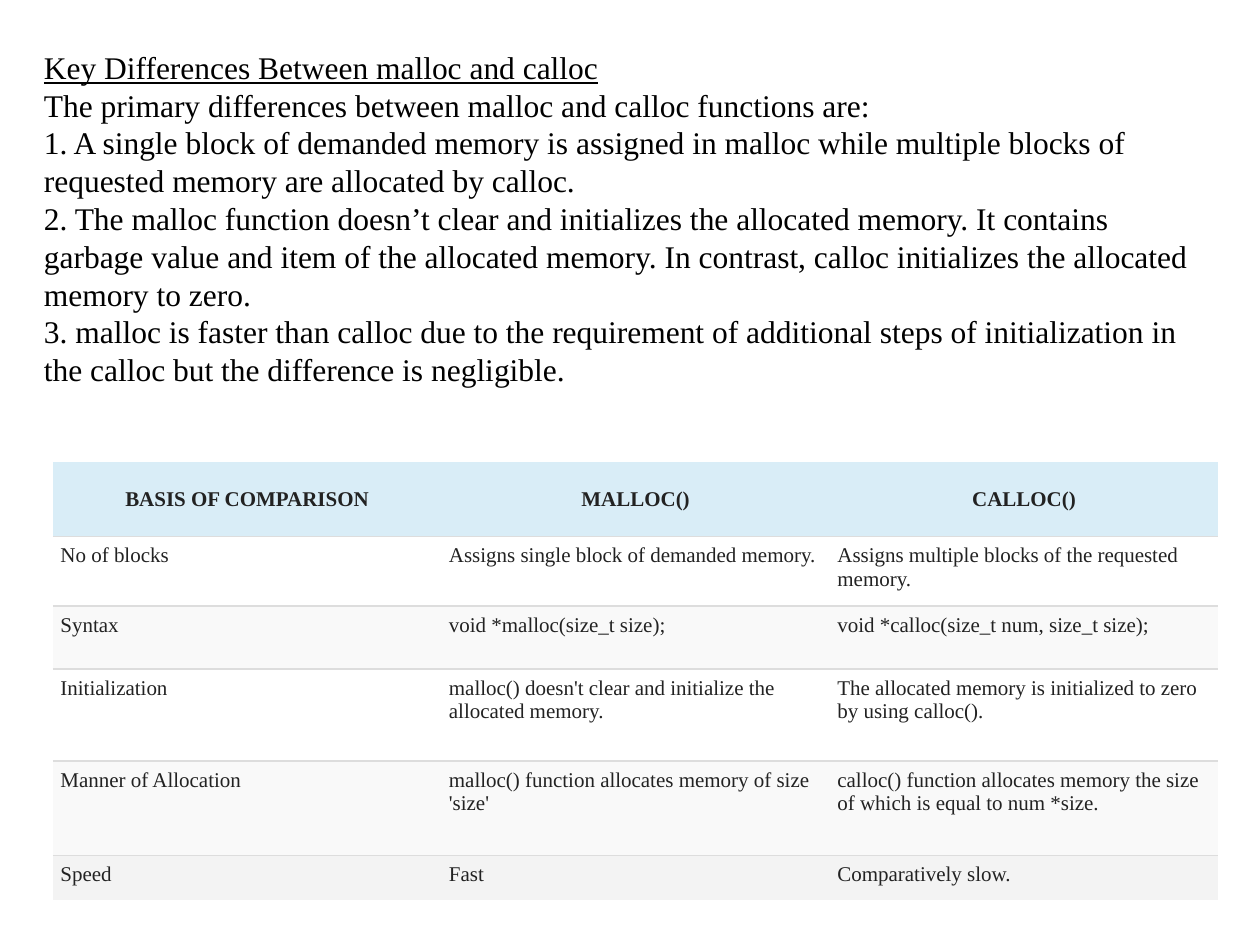
from lxml import etree
from pptx import Presentation
from pptx.dml.color import RGBColor
from pptx.enum.text import MSO_ANCHOR, PP_ALIGN
from pptx.oxml.ns import qn
from pptx.util import Inches, Pt

# Content
HEADING = "Key Differences Between malloc and calloc"
DIFFERENCES = [
    "The primary differences between malloc and calloc functions are:",
    "1. A single block of demanded memory is assigned in malloc while multiple "
    "blocks of requested memory are allocated by calloc.",
    "2. The malloc function doesn’t clear and initializes the allocated memory. "
    "It contains garbage value and item of the allocated memory. In contrast, "
    "calloc initializes the allocated memory to zero.",
    "3. malloc is faster than calloc due to the requirement of additional steps "
    "of initialization in the calloc but the difference is negligible.",
]
COMPARISON = [
    ("BASIS OF COMPARISON", "MALLOC()", "CALLOC()"),
    ("No of blocks", "Assigns single block of demanded memory.",
     "Assigns multiple blocks of the requested memory."),
    ("Syntax", "void *malloc(size_t size);", "void *calloc(size_t num, size_t size);"),
    ("Initialization", "malloc() doesn't clear and initialize the allocated memory.",
     "The allocated memory is initialized to zero by using calloc()."),
    ("Manner of Allocation", "malloc() function allocates memory of size 'size'",
     "calloc() function allocates memory the size of which is equal to num *size."),
    ("Speed", "Fast", "Comparatively slow."),
]
ROW_HEIGHTS = [0.59, 0.55, 0.5, 0.73, 0.75, 0.35]

# Style
FONT = "Times New Roman"
BLACK = RGBColor(0x00, 0x00, 0x00)
CELL_TEXT = RGBColor(0x22, 0x22, 0x22)
BORDER = RGBColor(0xDD, 0xDD, 0xDD)
HEADER_FILL = RGBColor(0xD9, 0xED, 0xF7)
WHITE = RGBColor(0xFF, 0xFF, 0xFF)
STRIPE = RGBColor(0xF9, 0xF9, 0xF9)
LAST_FILL = RGBColor(0xF3, 0xF3, 0xF3)
ROW_FILLS = [HEADER_FILL, WHITE, STRIPE, WHITE, STRIPE, LAST_FILL]
CELL_MARGIN = Inches(0.06)


def format_text(paragraph, size, color, bold=False, underline=False):
    for run in paragraph.runs:
        font = run.font
        font.name, font.size, font.bold = FONT, Pt(size), bold
        font.underline = underline
        font.color.rgb = color


def set_borders(cell, top, bottom):
    """Draw the wanted horizontal borders and clear the other sides."""
    properties = cell._tc.get_or_add_tcPr()
    sides = [("a:lnL", False), ("a:lnR", False), ("a:lnT", top), ("a:lnB", bottom)]
    for position, (tag, visible) in enumerate(sides):
        line = etree.Element(qn(tag), w=str(Pt(1)))
        if visible:
            fill = etree.SubElement(line, qn("a:solidFill"))
            etree.SubElement(fill, qn("a:srgbClr"), val=str(BORDER))
        else:
            etree.SubElement(line, qn("a:noFill"))
        properties.insert(position, line)


def add_differences(slide):
    box = slide.shapes.add_textbox(Inches(0.25), Inches(0.33), Inches(9.42), Inches(2.83))
    text_frame = box.text_frame
    text_frame.word_wrap = True
    text_frame.text = "\n".join([HEADING] + DIFFERENCES)
    for index, paragraph in enumerate(text_frame.paragraphs):
        format_text(paragraph, 18, BLACK, underline=index == 0)


def add_comparison(slide):
    last_row = len(COMPARISON) - 1
    table = slide.shapes.add_table(
        len(COMPARISON), len(COMPARISON[0]),
        Inches(0.42), Inches(3.67), Inches(9.25), Inches(sum(ROW_HEIGHTS))).table
    for row_index, texts in enumerate(COMPARISON):
        is_header = row_index == 0
        table.rows[row_index].height = Inches(ROW_HEIGHTS[row_index])
        for column_index, text in enumerate(texts):
            cell = table.cell(row_index, column_index)
            cell.text = text
            cell.margin_left = cell.margin_right = CELL_MARGIN
            cell.margin_top = cell.margin_bottom = CELL_MARGIN
            cell.vertical_anchor = MSO_ANCHOR.MIDDLE if is_header else MSO_ANCHOR.TOP
            cell.fill.solid()
            cell.fill.fore_color.rgb = ROW_FILLS[row_index]
            paragraph = cell.text_frame.paragraphs[0]
            paragraph.alignment = PP_ALIGN.CENTER if is_header else PP_ALIGN.LEFT
            format_text(paragraph, 12, CELL_TEXT, bold=is_header)
            set_borders(cell, top=not is_header, bottom=row_index < last_row)


def main():
    presentation = Presentation()
    presentation.slide_width, presentation.slide_height = Inches(10), Inches(7.5)
    slide = presentation.slides.add_slide(presentation.slide_layouts[6])
    add_differences(slide)
    add_comparison(slide)
    presentation.save("out.pptx")


if __name__ == "__main__":
    main()
